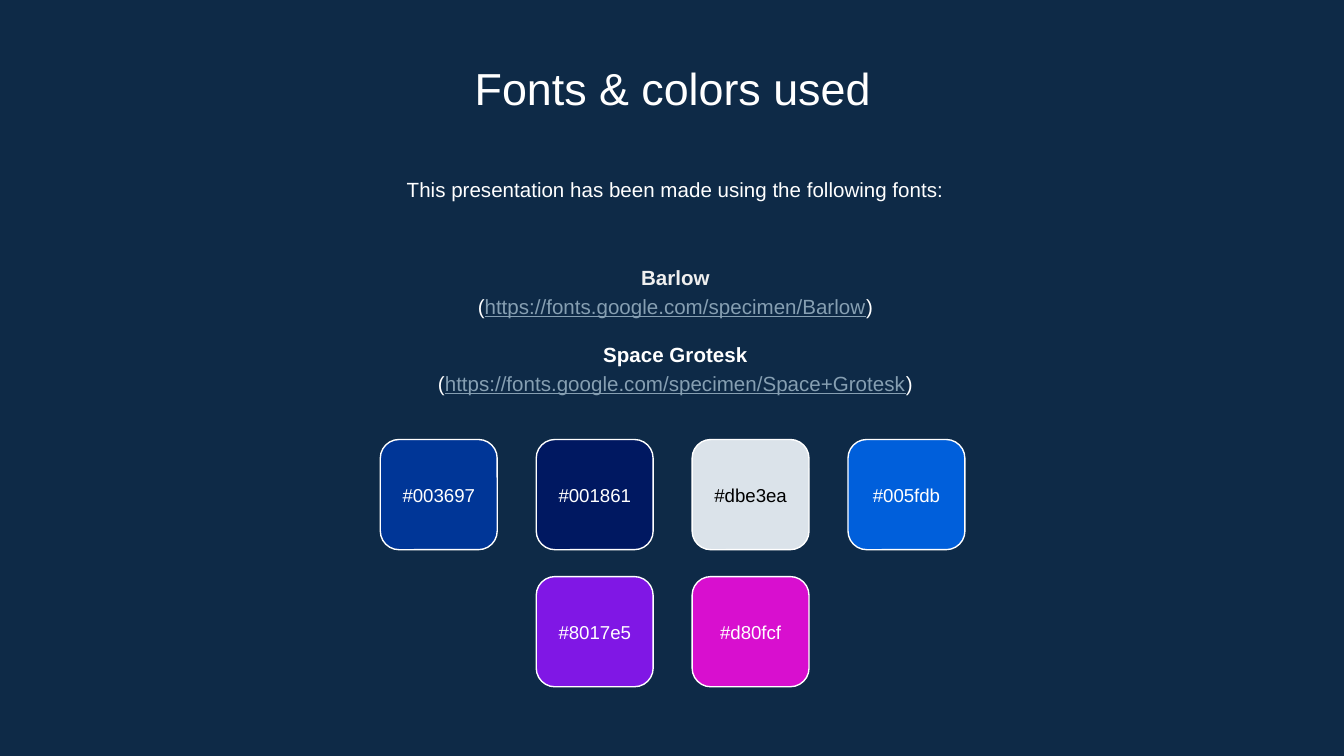
from pptx import Presentation
from pptx.dml.color import RGBColor
from pptx.enum import shapes, text
from pptx.util import Inches, Pt

FONT = "Arial"
WHITE = "FFFFFF"
LINK = "869FB2"


def color(value):
    return RGBColor.from_string(value.lstrip("#").upper())


def add_text_box(page, left, top, width, height, anchor=text.MSO_ANCHOR.TOP):
    box = page.shapes.add_textbox(Inches(left), Inches(top), Inches(width), Inches(height))
    frame = box.text_frame
    frame.word_wrap = True
    frame.vertical_anchor = anchor
    frame.margin_left = frame.margin_right = Inches(0.1)
    frame.margin_top = frame.margin_bottom = Inches(0.1)
    return frame


def write(para, spans, size, spacing=None, bold=False):
    para.alignment = text.PP_ALIGN.CENTER
    para.line_spacing = spacing
    para.font.name = FONT
    para.font.size = Pt(size)
    para.font.bold = bold
    for words, tint in spans:
        span = para.add_run()
        span.text = words
        span.font.color.rgb = color(tint)
        if tint == LINK:
            span.font.underline = True


def add_line(page, left, top, width, height, words, size, spacing=None):
    frame = add_text_box(page, left, top, width, height)
    write(frame.paragraphs[0], [(words, WHITE)], size, spacing)


def add_font_list(page, left, top, width, height, fonts):
    frame = add_text_box(page, left, top, width, height, text.MSO_ANCHOR.MIDDLE)
    for index, (name, address, tint) in enumerate(fonts):
        para = frame.add_paragraph() if index else frame.paragraphs[0]
        if index:
            para.space_before = Pt(11)
        write(para, [(name, tint)], 11, 1.15, bold=True)
        spans = [("(", WHITE), (address, LINK), (")", WHITE)]
        write(frame.add_paragraph(), spans, 11, 1.15)


def add_swatch(page, left, top, width, height, code, ink):
    swatch = page.shapes.add_shape(
        shapes.MSO_SHAPE.ROUNDED_RECTANGLE,
        Inches(left), Inches(top), Inches(width), Inches(height),
    )
    swatch.shadow.inherit = False
    swatch.adjustments[0] = 0.17
    swatch.fill.solid()
    swatch.fill.fore_color.rgb = color(code)
    swatch.line.color.rgb = color(WHITE)
    swatch.line.width = Pt(0.75)
    label_height = 0.48
    label_top = top + (height - label_height) / 2
    frame = add_text_box(page, left, label_top, width, label_height, text.MSO_ANCHOR.MIDDLE)
    write(frame.paragraphs[0], [(code, ink)], 10)


def add_palette(page, left, top, width, height, rows):
    swatch_width, swatch_height = 0.87, 0.82
    columns = max(len(row) for row in rows)
    step_x = (width - swatch_width) / (columns - 1)
    step_y = (height - swatch_height) / (len(rows) - 1)
    for row_index, row in enumerate(rows):
        indent = (columns - len(row)) / 2
        for index, code in enumerate(row):
            ink = "000000" if code == "#dbe3ea" else WHITE
            add_swatch(page, left + (indent + index) * step_x, top + row_index * step_y,
                       swatch_width, swatch_height, code, ink)


def main():
    deck = Presentation()
    deck.slide_width = Inches(10)
    deck.slide_height = Inches(10 * 9 / 16)
    page = deck.slides.add_slide(deck.slide_layouts[6])
    page.background.fill.solid()
    page.background.fill.fore_color.rgb = color("0E2A47")

    add_line(page, 1.17, 1.19, 7.71, 0.48,
             "This presentation has been made using the following fonts:", 11, 1.15)
    add_font_list(page, 1.17, 1.76, 7.71, 1.37, [
        ("Barlow", "https://fonts.google.com/specimen/Barlow", "EFEFEF"),
        ("Space Grotesk", "https://fonts.google.com/specimen/Space+Grotesk", WHITE),
    ])
    add_palette(page, 2.83, 3.27, 4.35, 1.84, [
        ["#003697", "#001861", "#dbe3ea", "#005fdb"],
        ["#8017e5", "#d80fcf"],
    ])
    add_line(page, 1.15, 0.35, 7.71, 0.53, "Fonts & colors used", 24)
    deck.save("out.pptx")


if __name__ == "__main__":
    main()
